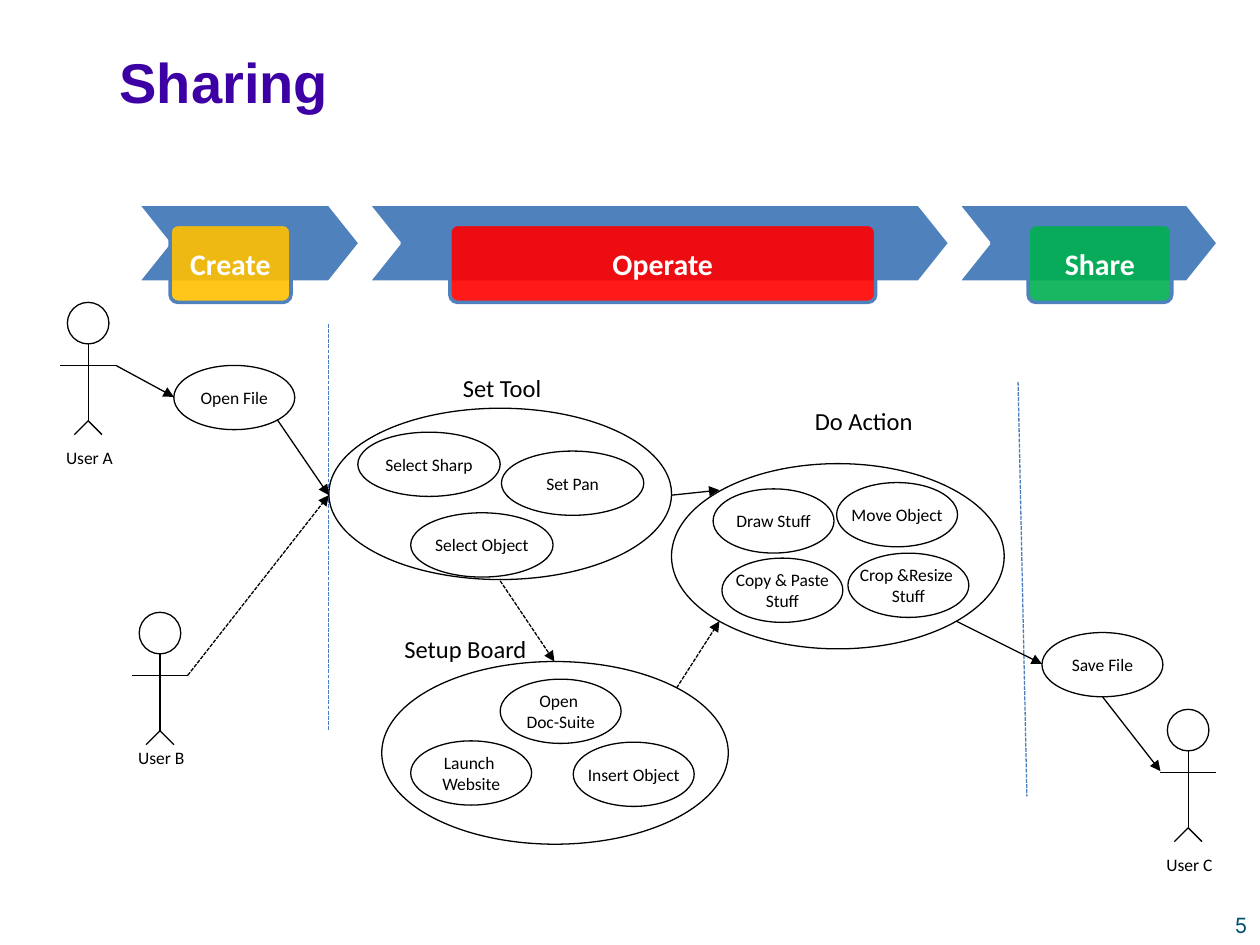
from lxml.etree import SubElement
from pptx import Presentation
from pptx.dml.color import RGBColor
from pptx.enum.dml import MSO_LINE
from pptx.enum.shapes import MSO_CONNECTOR, MSO_SHAPE
from pptx.enum.text import MSO_ANCHOR, PP_ALIGN
from pptx.oxml.ns import qn
from pptx.util import Inches, Pt

BLACK, WHITE, BLUE, DIVIDER = "000000", "FFFFFF", "4F81BD", "4B7EBC"
LABEL = {"name": "Calibri", "size": Pt(10), "bold": False}
HEADING = {"name": "Calibri", "size": Pt(14), "bold": False}
PHASE = {"name": "Calibri", "size": Pt(17), "bold": True}
PAGE = {"name": "Inter", "size": Pt(12), "bold": False}
TITLE = {"name": "Arial", "size": Pt(32), "bold": True}

presentation = Presentation()
presentation.slide_width, presentation.slide_height = Inches(10), Inches(7.5)
slide = presentation.slides.add_slide(presentation.slide_layouts[5])


def add_shape(kind, box, text="", font=LABEL, color=BLACK, fill=None, line=BLACK,
              width=0.75, wrap=False):
    """Add a preset shape, or a text box when kind is None."""
    place = [Inches(value) for value in box]
    if kind is None:
        shape = slide.shapes.add_textbox(*place)
    else:
        shape = slide.shapes.add_shape(kind, *place)
        shape.shadow.inherit = False
        shape.line.color.rgb = RGBColor.from_string(line)
        shape.line.width = Pt(width)
        if fill:
            shape.fill.solid()
            shape.fill.fore_color.rgb = RGBColor.from_string(fill)
        else:
            shape.fill.background()
        shape.text_frame.vertical_anchor = MSO_ANCHOR.MIDDLE
    shape.text_frame.word_wrap = wrap
    if text:
        shape.text_frame.text = text
        for paragraph in shape.text_frame.paragraphs:
            paragraph.alignment = PP_ALIGN.CENTER
            paragraph.font.color.rgb = RGBColor.from_string(color)
            for name, value in font.items():
                setattr(paragraph.font, name, value)
    return shape


def add_line(start, end, color=BLACK, dashed=False, arrow=False):
    """Add a straight connector between two points."""
    points = [Inches(value) for value in (*start, *end)]
    connector = slide.shapes.add_connector(MSO_CONNECTOR.STRAIGHT, *points)
    connector.line.color.rgb = RGBColor.from_string(color)
    connector.line.width = Pt(0.75)
    if dashed:
        connector.line.dash_style = MSO_LINE.SQUARE_DOT
    if arrow:
        SubElement(connector.line._get_or_add_ln(), qn("a:tailEnd"), type="triangle")
    SubElement(connector._element.spPr, qn("a:effectLst"))


# Title and page number
title = slide.shapes.title
title.left, title.top, title.width, title.height = map(Inches, (0.85, 0.24, 8.65, 0.8))
title.text_frame.text = "Sharing"
title.text_frame.vertical_anchor = MSO_ANCHOR.MIDDLE
title_paragraph = title.text_frame.paragraphs[0]
title_paragraph.alignment = PP_ALIGN.LEFT
title_paragraph.font.color.rgb = RGBColor.from_string("3D00A4")
for name, value in TITLE.items():
    setattr(title_paragraph.font, name, value)
page_number = add_shape(None, (9.7, 7.24, 0.3, 0.23), "5", PAGE, "00506E")
for side in ("left", "right", "top", "bottom"):
    setattr(page_number.text_frame, "margin_" + side, 0)

# Phase chevrons, each with a translucent label
phases = [
    ("Create", 1.09, 1.77, 1.35, 0.96, "FFC000"),
    ("Operate", 2.92, 4.62, 3.57, 3.38, "FF0000"),
    ("Share", 7.6, 2.07, 8.16, 1.14, "00B050"),
]
for text, left, width, label_left, label_width, color in phases:
    chevron = add_shape(MSO_SHAPE.CHEVRON, (left, 1.62, width, 0.62),
                        fill=BLUE, line=WHITE, width=2)
    chevron.adjustments[0] = 0.4
    label = add_shape(MSO_SHAPE.ROUNDED_RECTANGLE, (label_left, 1.78, label_width, 0.62),
                      text, PHASE, WHITE, color, BLUE, 2, True)
    label.adjustments[0] = 0.1
    fill_color = label._element.spPr.find(qn("a:solidFill"))[0]
    SubElement(fill_color, qn("a:alpha"), val="90000")

# Dividers between the phases
add_line((2.61, 2.57), (2.61, 5.8), DIVIDER, dashed=True)
add_line((8.08, 3.03), (8.15, 6.32), DIVIDER, dashed=True)

# Stick figures: centre, top of head, top of name
users = [("User A", 0.7, 2.4, 3.5), ("User B", 1.27, 4.86, 5.88), ("User C", 9.43, 5.63, 6.73)]
for text, center, top, name_top in users:
    hip = top + 0.94
    add_shape(MSO_SHAPE.OVAL, (center - 0.165, top, 0.33, 0.33))
    add_line((center - 0.22, top + 0.5), (center + 0.22, top + 0.5))
    add_line((center, top + 0.33), (center, hip))
    for foot in (-0.11, 0.11):
        add_line((center, hip), (center + foot, hip + 0.11))
    add_shape(None, (center - 0.46, name_top, 0.94, 0.27), text, wrap=True)

# Activity groups with their headings
groups = [
    ("Set Tool", (3.02, 2.91), (2.61, 3.24, 2.72, 1.36)),
    ("Do Action", (5.89, 3.17), (5.33, 3.68, 2.64, 1.47)),
    ("Setup Board", (2.73, 4.98), (3.03, 5.25, 2.75, 1.45)),
]
for text, corner, box in groups:
    add_shape(MSO_SHAPE.OVAL, box)
    add_shape(None, (*corner, 1.93, 0.34), text, HEADING, wrap=True)

# Single activities, wide ones in the tool group
activities = {
    1.13: [("Select Sharp", 2.84, 3.43), ("Set Pan", 3.98, 3.58), ("Select Object", 3.26, 4.07)],
    0.96: [
        ("Open File", 1.38, 2.9), ("Save File", 8.27, 5.02),
        ("Draw Stuff", 5.66, 3.88), ("Move Object", 6.64, 3.83),
        ("Copy & Paste\nStuff", 5.73, 4.43), ("Crop &Resize \nStuff", 6.73, 4.39),
        ("Open \nDoc-Suite", 3.97, 5.39), ("Launch \nWebsite", 3.26, 5.88),
        ("Insert Object", 4.55, 5.89),
    ],
}
for width, members in activities.items():
    for text, left, top in members:
        add_shape(MSO_SHAPE.OVAL, (left, top, width, 0.51), text)

# Flow arrows, dashed for the optional route
arrows = {
    False: [
        ((0.92, 2.9), (1.38, 3.15)), ((2.2, 3.33), (2.61, 3.93)),
        ((5.33, 3.93), (5.71, 3.89)), ((7.59, 4.93), (8.27, 5.27)),
        ((8.75, 5.53), (9.21, 6.12)),
    ],
    True: [
        ((1.49, 5.36), (2.61, 3.93)), ((3.97, 4.61), (4.4, 5.25)),
        ((5.37, 5.46), (5.71, 4.93)),
    ],
}
for dashed, routes in arrows.items():
    for start, end in routes:
        add_line(start, end, dashed=dashed, arrow=True)

presentation.save("out.pptx")
